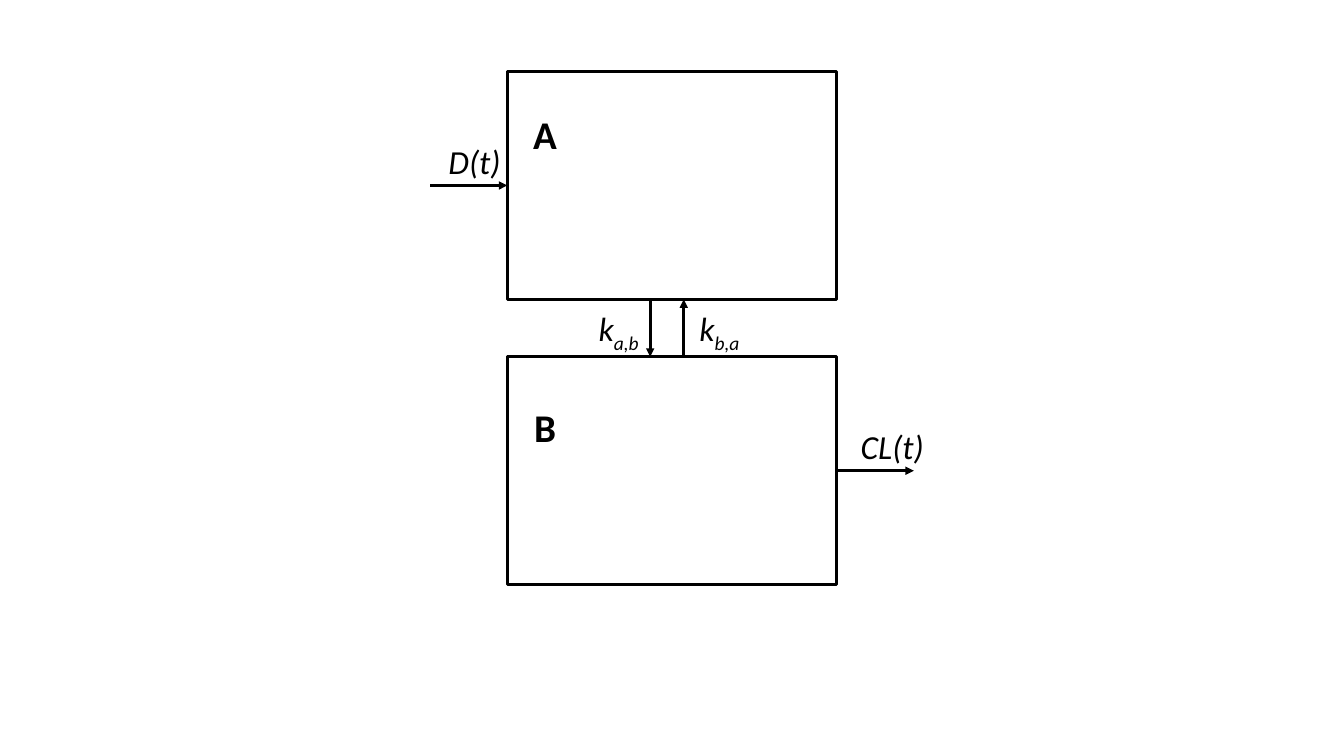
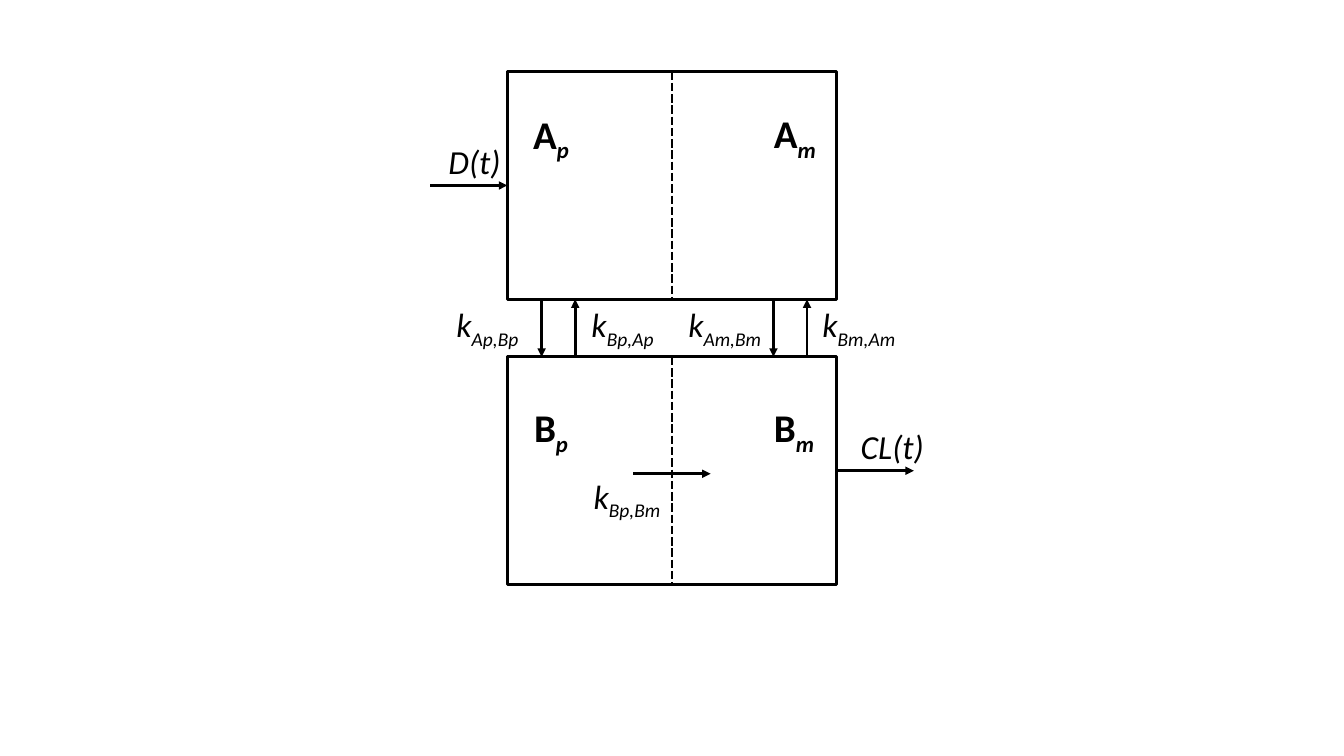
from dataclasses import dataclass

from lxml.etree import SubElement as Sub
from pptx import Presentation
from pptx.dml.color import RGBColor as Rgb
from pptx.enum.dml import MSO_LINE as Dash
from pptx.enum.shapes import MSO_CONNECTOR as Conn, MSO_SHAPE as Form
from pptx.enum.text import MSO_AUTO_SIZE as Fit
from pptx.oxml.ns import qn
from pptx.util import Inches, Pt

COLS, ROWS = 400, 225
TOP, LEFT, BOTTOM, RIGHT = 0, 1, 2, 3


@dataclass(frozen=True)
class Theme:
    ink: Rgb = Rgb(0, 0, 0)
    font: str = "Calibri"
    name: int = 28
    rate: int = 24
    line: float = 2
    sub: str = "-25000"


class Deck:
    """Holds the style and the current slide; lengths are grid cells."""

    def __init__(self, theme):
        self.theme = theme
        self.prs = Presentation()
        self.prs.slide_width = Inches(40) // 3
        self.prs.slide_height = Inches(7.5)
        self.slide = None

    def add(self):
        self.slide = self.prs.slides.add_slide(self.prs.slide_layouts[6])

    def grid(self, *cells):
        """Turn alternating columns and rows into slide lengths."""
        units = self.prs.slide_width / COLS, self.prs.slide_height / ROWS
        return [round(n * units[i % 2]) for i, n in enumerate(cells)]

    def ink(self, line):
        line.color.rgb = self.theme.ink
        line.width = Pt(self.theme.line)

    def box(self, x, y, wide, high):
        box = self.slide.shapes.add_shape(
            Form.RECTANGLE, *self.grid(x, y, wide, high))
        box.shadow.inherit = False
        box.fill.background()
        self.ink(box.line)
        return box

    def line(self, start, end, begin=None, stop=None, dash=False):
        """Draw an arrow, or a dashed line; begin and stop are (box, side)."""
        line = self.slide.shapes.add_connector(
            Conn.STRAIGHT, *self.grid(*start, *end))
        if begin:
            line.begin_connect(*begin)
        if stop:
            line.end_connect(*stop)
        self.ink(line.line)
        if dash:
            line.line.dash_style = Dash.SQUARE_DOT
        else:
            Sub(line.line._get_or_add_ln(), qn("a:tailEnd"), type="triangle")
        Sub(line._element.spPr, qn("a:effectLst"))

    def text(self, x, y, wide, main, sub="", bold=False):
        """Write a bold name or an italic rate, with an italic subscript."""
        size = self.theme.name if bold else self.theme.rate
        high = 17 if bold else 15
        frame = self.slide.shapes.add_textbox(
            *self.grid(x, y, wide, high)).text_frame
        frame.word_wrap = False
        frame.auto_size = Fit.SHAPE_TO_FIT_TEXT
        para = frame.paragraphs[0]
        for part in filter(None, (main, sub)):
            run = para.add_run()
            run.text = part
            font = run.font
            font.name, font.size = self.theme.font, Pt(size)
            font.color.rgb = self.theme.ink
            font.bold = bold
            font.italic = not bold or part is sub
            if part is sub:
                run._r.get_or_add_rPr().set("baseline", self.theme.sub)


# Two stacked boxes, centred on the slide
WIDE, HIGH, GAP = 98, 67.8, 17.1
MID = COLS / 2
X1, X2 = MID - WIDE / 2, MID + WIDE / 2
A1 = 21.3
A2 = A1 + HIGH
B1 = A2 + GAP
B2 = B1 + HIGH
STEP, REACH = 10, 23


def frame(deck):
    """Add a slide with both boxes, the inflow and the outflow."""
    deck.add()
    a, b = (deck.box(X1, y, WIDE, HIGH) for y in (A1, B1))
    ya, yb = (A1 + A2) / 2, (B1 + B2) / 2
    deck.line((X1 - REACH, ya), (X1, ya), stop=(a, LEFT))
    deck.line((X2, yb), (X2 + REACH, yb), begin=(b, RIGHT))
    deck.text(130.5, 40.5, 21.6, "D(t)")
    deck.text(253.2, 125.4, 24.9, "CL(t)")
    return a, b


def swap(deck, x, y, *rates):
    """Draw a down and an up arrow between the boxes, with their rates."""
    deck.line((x, A2), (x, B1))
    deck.line((x + STEP, B1), (x + STEP, A2))
    for left, wide, sub in rates:
        deck.text(left, y, wide, "k", sub)


def whole(deck):
    frame(deck)
    deck.text(155.7, 31.2, 13.2, "A", bold=True)
    deck.text(156, 118.5, 12.6, "B", bold=True)
    swap(deck, 193.5, 90.3, (175.2, 18.9, "a,b"), (205.2, 19.2, "b,a"))


def split(deck):
    boxes = frame(deck)
    for box, y in zip(boxes, (A1, B1)):
        deck.line((MID, y), (MID, y + HIGH), (box, TOP), (box, BOTTOM), True)
    for x, y, wide, main, sub in (
            (155.7, 31.2, 17.4, "A", "p"), (227.4, 31, 19.5, "A", "m"),
            (156, 118.5, 16.8, "B", "p"), (227.4, 118.5, 18.9, "B", "m")):
        deck.text(x, y, wide, main, sub, bold=True)
    swap(deck, 161.2, 89.1, (132.9, 26.7, "Ap,Bp"), (173.1, 27, "Bp,Ap"))
    swap(deck, 230.2, 89.1, (201.9, 30.6, "Am,Bm"), (241.8, 30.6, "Bm,Am"))
    deck.line((MID - REACH / 2, 141), (MID + REACH / 2, 141))
    deck.text(173.7, 140.1, 28.5, "k", "Bp,Bm")


def main():
    deck = Deck(Theme())
    whole(deck)
    split(deck)
    deck.prs.save("out.pptx")


if __name__ == "__main__":
    main()
